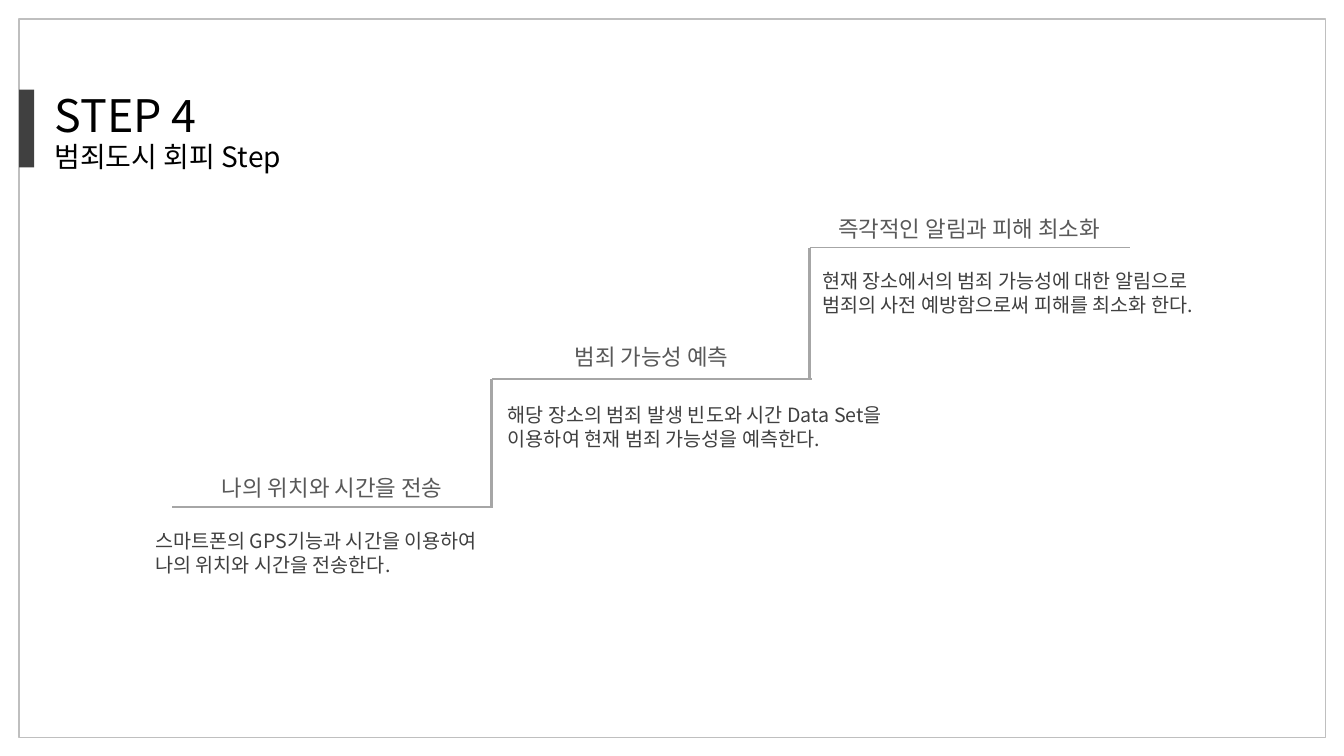
import pptx
import pptx.util
import pptx.dml.color
import pptx.enum.shapes
import pptx.enum.text
import pptx.oxml
import pptx.oxml.ns

Pt = pptx.util.Pt
ALIGN = pptx.enum.text.PP_ALIGN
HUES = {"ink": "000000", "dark": "404040", "head": "595959",
        "line": "A6A6A6", "frame": "BFBFBF"}


def hue(name):
    return pptx.dml.color.RGBColor.from_string(HUES[name])


def write(para, text, font, size, color, lead, alpha=30, align=ALIGN.LEFT):
    """Put formatted text with a thin translucent outline in a paragraph."""
    para.alignment = align
    para.line_spacing = Pt(lead)
    run = para.add_run()
    run.text = text
    run.font.size = Pt(size)
    run.font.name = font
    run.font.color.rgb = hue(color)
    props = run._r.get_or_add_rPr()
    props.insert(0, pptx.oxml.parse_xml(
        f'<a:ln {pptx.oxml.ns.nsdecls("a")} w="{Pt(0.75)}"><a:solidFill>'
        f'<a:srgbClr val="{HUES[color]}"><a:alpha val="{alpha * 1000}"/>'
        '</a:srgbClr></a:solidFill></a:ln>'))
    east = pptx.oxml.parse_xml(
        f'<a:ea {pptx.oxml.ns.nsdecls("a")} typeface="{font}"/>')
    props.find(pptx.oxml.ns.qn("a:latin")).addnext(east)


class Deck:
    font = "Noto Sans CJK KR"

    def __init__(self, slide):
        self.slide = slide
        self.group = None

    def title(self, box, lines):
        shape = self.slide.shapes.title
        shape.left, shape.top, shape.width, shape.height = map(Pt, box)
        self.fill_text(shape.text_frame, lines)

    def text(self, box, lines):
        shape = self.group.shapes.add_textbox(*map(Pt, box))
        self.fill_text(shape.text_frame, lines)

    def fill_text(self, frame, lines):
        frame.word_wrap = True
        frame.auto_size = pptx.enum.text.MSO_AUTO_SIZE.NONE
        frame.vertical_anchor = pptx.enum.text.MSO_ANCHOR.TOP
        for i, (text, style) in enumerate(lines):
            para = frame.add_paragraph() if i else frame.paragraphs[0]
            write(para, text, font=self.font, **style)

    def rect(self, box, fill=None, line=None):
        shape = self.slide.shapes.add_shape(
            pptx.enum.shapes.MSO_SHAPE.RECTANGLE, *map(Pt, box))
        shape.shadow.inherit = False
        if fill:
            shape.fill.solid()
            shape.fill.fore_color.rgb = hue(fill)
        else:
            shape.fill.background()
        if line:
            shape.line.color.rgb = hue(line)
            shape.line.width = Pt(1)
        else:
            shape.line.fill.background()

    def line(self, ends, width):
        rule = self.group.shapes.add_connector(
            pptx.enum.shapes.MSO_CONNECTOR.STRAIGHT, *map(Pt, ends))
        rule.line.color.rgb = hue("line")
        rule.line.width = Pt(width)
        rule._element.spPr.append(pptx.oxml.parse_xml(
            f'<a:effectLst {pptx.oxml.ns.nsdecls("a")}/>'))


def main():
    show = pptx.Presentation()
    show.slide_width, show.slide_height = Pt(960), Pt(540)
    deck = Deck(show.slides.add_slide(show.slide_layouts[5]))

    # Frame, side bar and title
    deck.rect((13.68, 13.68, 933.12, 513.36), line="frame")
    deck.rect((13.68, 64.08, 10.8, 55.44), fill="dark")
    deck.title((31.68, 56.16, 382.32, 70.56), [
        ("STEP 4", dict(size=32, color="ink", lead=41, alpha=50)),
        ("범죄도시 회피 Step", dict(size=20, color="ink", lead=23, alpha=50))])

    # Stairs: tread start, label left and top, note left, top and width
    stairs = [
        ((123.12, 362.16), (82.08, 334.8), (103.68, 374.4, 267.12),
         "나의 위치와 시간을 전송",
         ["스마트폰의 GPS기능과 시간을 이용하여",
          "나의 위치와 시간을 전송한다."]),
        ((351.36, 270.72), (310.32, 241.2), (355.68, 284.4, 311.04),
         "범죄 가능성 예측",
         ["해당 장소의 범죄 발생 빈도와 시간 Data Set을",
          "이용하여 현재 범죄 가능성을 예측한다."]),
        ((578.5, 177.12), (537.12, 149.76), (580.32, 188.64, 311.04),
         "즉각적인 알림과 피해 최소화",
         ["현재 장소에서의 범죄 가능성에 대한 알림으로",
          "범죄의 사전 예방함으로써 피해를 최소화 한다."]),
    ]
    tread = 228.96
    label = dict(size=16, color="head", lead=19.4, align=ALIGN.CENTER)
    note = dict(size=14, color="dark", lead=16.8)
    deck.group = deck.slide.shapes.add_group_shape()
    floor = None
    for (x, y), spot, place, head, body in stairs:
        deck.line((x, y, x + tread, y), 0.75)
        if floor:
            deck.line((x, y, x, floor), 2)  # riser from the step below
        deck.text((*spot, 310.32, 26.64), [(head, label)])
        deck.text((*place, 41.04), [(text, note) for text in body])
        floor = y

    show.save("out.pptx")


if __name__ == "__main__":
    main()
